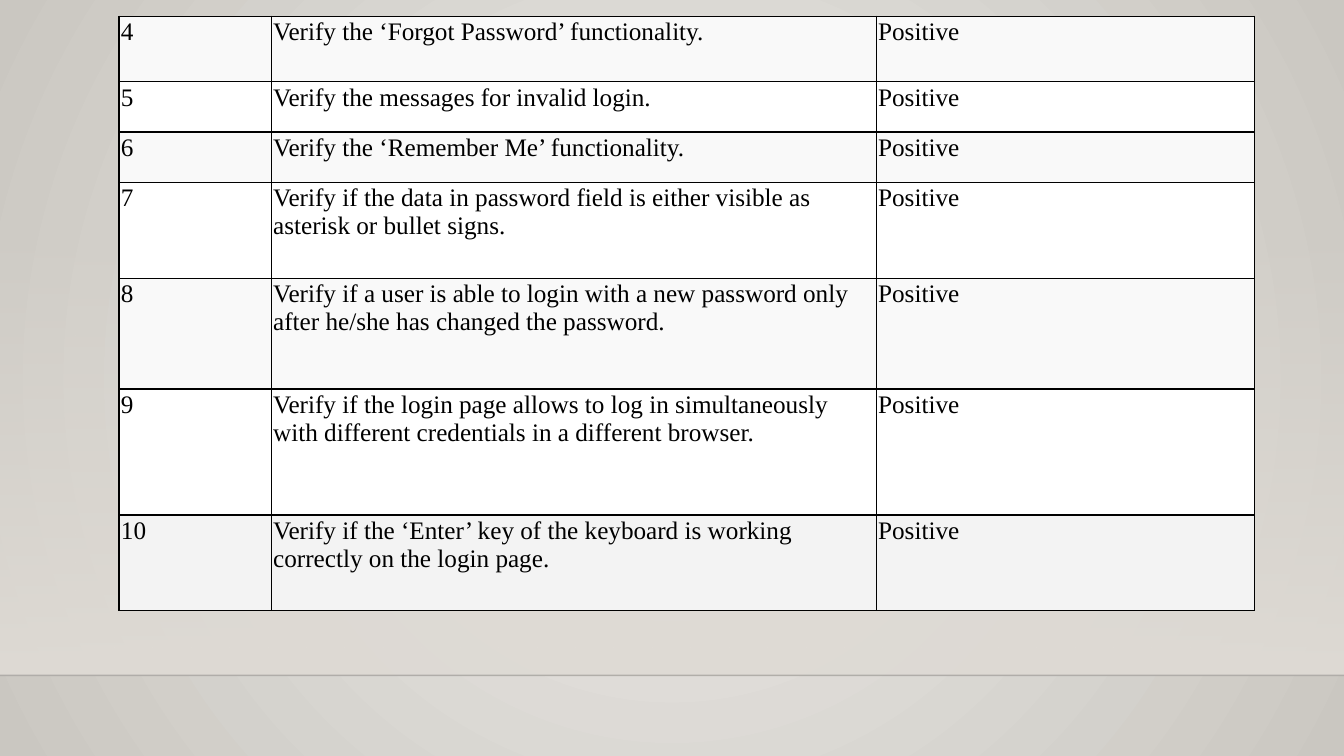
"""Build a slide with a table of login test cases 4 to 10."""
from pptx import Presentation
from pptx.dml.color import RGBColor
from pptx.enum import shapes
from pptx.oxml import parse_xml
from pptx.oxml.ns import nsdecls, qn
from pptx.util import Inches, Pt

COLORS = {
    "glow": "ECEAE7", "edge": "CAC7C1", "wall": "DFDBD5", "horizon": "000001",
    "ink": "000000", "odd": "FFFFFF", "even": "F9F9F9", "last": "F3F3F3",
}
FONT = "Times New Roman"
FIRST_NUMBER = 4
VERDICT = "Positive"
TEST_CASES = [
    ("Verify the ‘Forgot Password’ functionality.", 0.65),
    ("Verify the messages for invalid login.", 0.5),
    ("Verify the ‘Remember Me’ functionality.", 0.5),
    ("Verify if the data in password field is either visible as asterisk or bullet signs.", 0.95),
    ("Verify if a user is able to login with a new password only after he/she has "
     "changed the password.", 1.1),
    ("Verify if the login page allows to log in simultaneously with different credentials "
     "in a different browser.", 1.25),
    ("Verify if the ‘Enter’ key of the keyboard is working correctly on the login page.", 0.95),
]
COLUMN_WIDTHS = [1.51, 6, 3.75]
TABLE_LEFT, TABLE_TOP = 1.18, 0.16
SLIDE_WIDTH, SLIDE_HEIGHT = 13.33, 7.5
WALL_TOP, HORIZON = 2.21, 6.7
CELL_MARGIN = 0.02


def rgb(name):
    return RGBColor.from_string(COLORS[name])


def set_gradient(fill, start, end):
    fill.gradient()
    for stop, name, position in zip(fill.gradient_stops, (start, end), (0, 1)):
        stop.color.rgb = rgb(name)
        stop.position = position


def set_alpha(element, percent):
    color = element.find(".//" + qn("a:srgbClr"))
    color.append(parse_xml(f'<a:alpha {nsdecls("a")} val="{percent * 1000}"/>'))


def paint_background(slide):
    set_gradient(slide.background.fill, "glow", "edge")
    gradient = slide.element.find(".//" + qn("a:gradFill"))
    gradient.replace(gradient.find(qn("a:lin")), parse_xml(
        f'<a:path {nsdecls("a")} path="circle">'
        '<a:fillToRect l="50000" t="50000" r="50000" b="50000"/></a:path>'))


def add_wall(slide):
    wall = slide.shapes.add_shape(
        shapes.MSO_SHAPE.RECTANGLE, 0, Inches(WALL_TOP),
        Inches(SLIDE_WIDTH), Inches(HORIZON - WALL_TOP))
    wall.shadow.inherit = False
    wall.line.fill.background()
    set_gradient(wall.fill, "wall", "wall")
    wall.fill.gradient_angle = 270
    set_alpha(wall.element.spPr, 0)

    horizon = slide.shapes.add_connector(
        shapes.MSO_CONNECTOR.STRAIGHT, 0, Inches(HORIZON),
        Inches(SLIDE_WIDTH), Inches(HORIZON))
    horizon.line.width = Pt(1)
    horizon.line.color.rgb = rgb("horizon")
    properties = horizon.element.spPr
    set_alpha(properties, 20)
    properties.append(parse_xml(f'<a:effectLst {nsdecls("a")}/>'))


def fill_cell(cell, wording, background):
    for side in ("lnL", "lnR", "lnT", "lnB"):
        cell._tc.get_or_add_tcPr().append(parse_xml(
            f'<a:{side} {nsdecls("a")} w="{Pt(1)}"><a:solidFill>'
            f'<a:srgbClr val="{COLORS["ink"]}"/></a:solidFill></a:{side}>'))
    cell.fill.solid()
    cell.fill.fore_color.rgb = rgb(background)
    cell.margin_left = cell.margin_right = Inches(CELL_MARGIN)
    cell.margin_top = cell.margin_bottom = Inches(CELL_MARGIN)
    run = cell.text_frame.paragraphs[0].add_run()
    run.text = wording
    run.font.name = FONT
    run.font.size = Pt(18)
    run.font.color.rgb = rgb("ink")


def add_test_cases(slide):
    table = slide.shapes.add_table(
        len(TEST_CASES), len(COLUMN_WIDTHS), Inches(TABLE_LEFT), Inches(TABLE_TOP),
        Inches(sum(COLUMN_WIDTHS)), Inches(sum(height for _, height in TEST_CASES))).table
    table.first_row = table.horz_banding = False
    for column, width in zip(table.columns, COLUMN_WIDTHS):
        column.width = Inches(width)
    for index, (check, height) in enumerate(TEST_CASES):
        row = table.rows[index]
        row.height = Inches(height)
        background = "odd" if index % 2 else "even"
        if index == len(TEST_CASES) - 1:
            background = "last"
        for cell, wording in zip(row.cells, (str(FIRST_NUMBER + index), check, VERDICT)):
            fill_cell(cell, wording, background)


def main():
    deck = Presentation()
    deck.slide_width, deck.slide_height = Inches(SLIDE_WIDTH), Inches(SLIDE_HEIGHT)
    slide = deck.slides.add_slide(deck.slide_layouts[6])
    paint_background(slide)
    add_wall(slide)
    add_test_cases(slide)
    deck.save("out.pptx")


if __name__ == "__main__":
    main()
